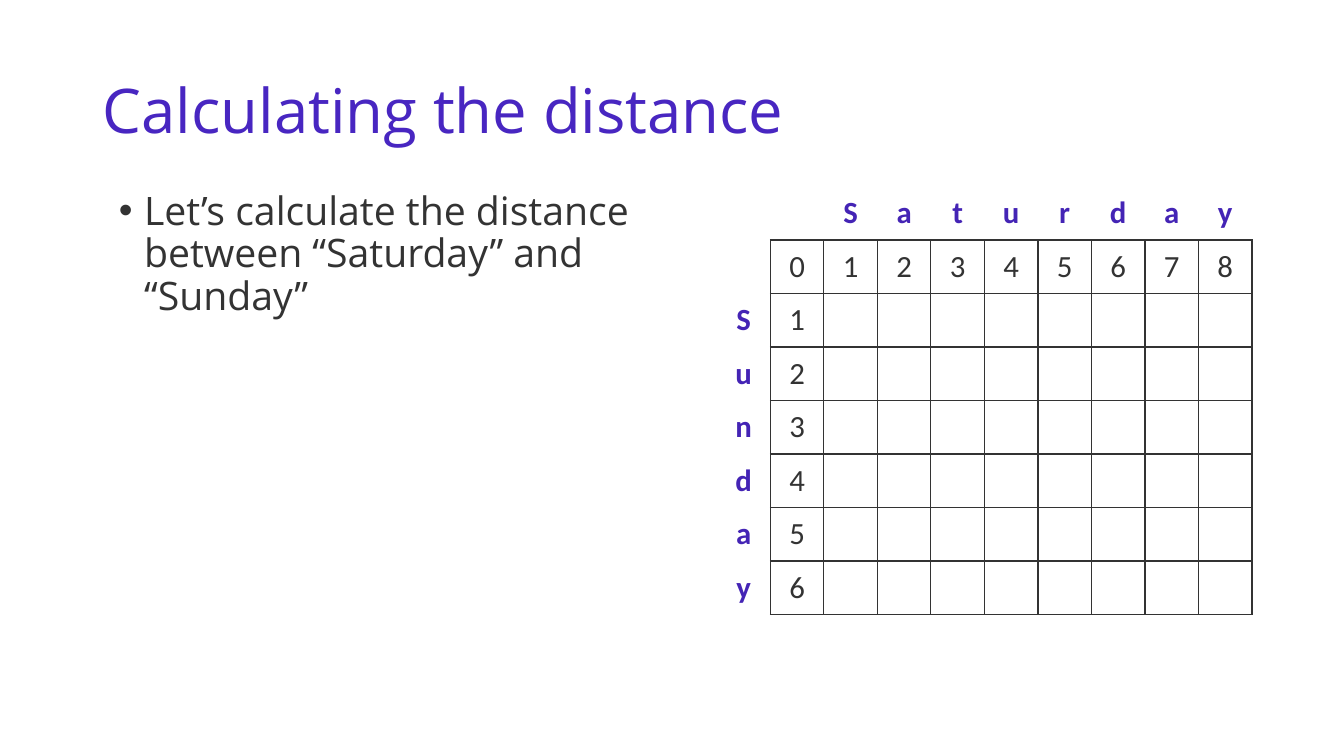
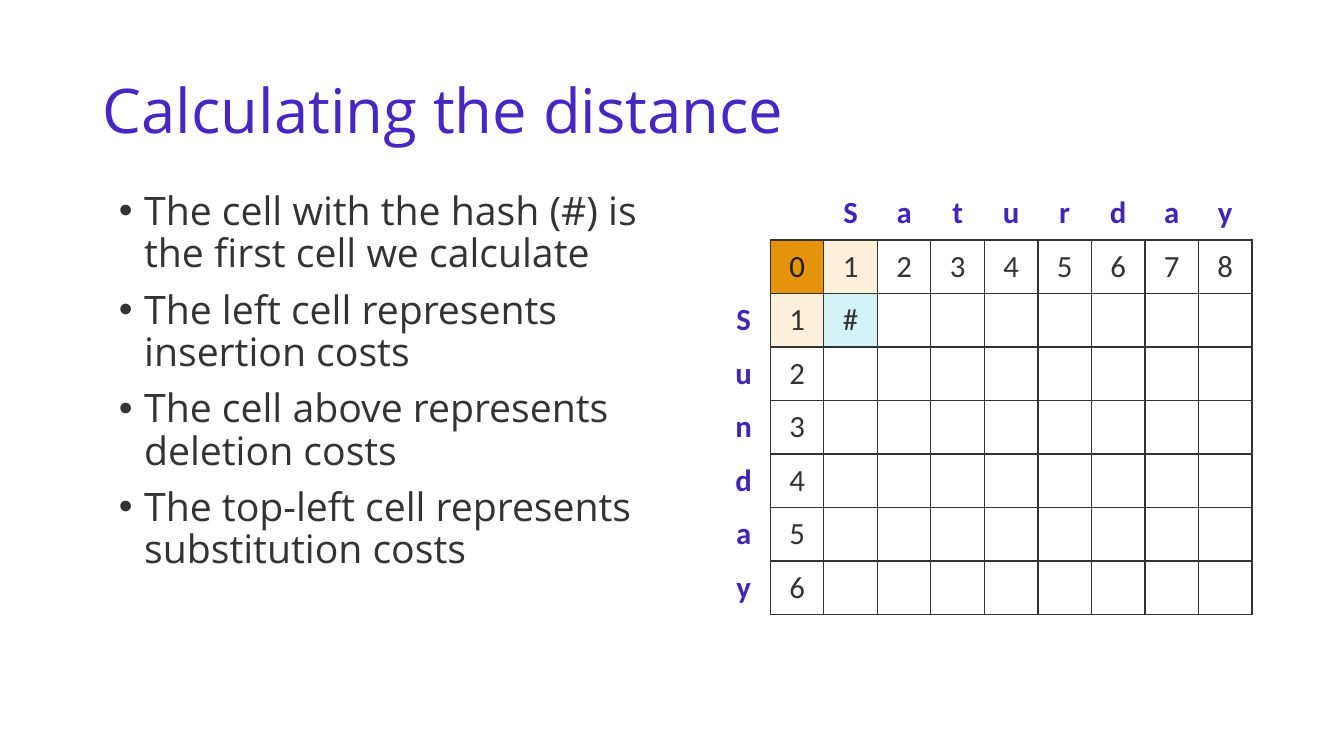
from lxml import etree
from pptx import Presentation, util as u
from pptx.dml.color import RGBColor
from pptx.enum import text as t
from pptx.oxml.ns import qn

WIDE, HIGH = 13.33, 7.5
UNIT = 5.31 / 10  # side of one square of the table
TOP = 1.85
HEAD, MARK, INK, DARK, PAPER = "4826C1", "4424B5", "333333", "1E1E1E", "FFFFFF"
GOLD, CREAM, AQUA = "E5930A", "FDF0DA", "D3F3F7"
SANS, CELL = "Open Sans", "Calibri"
PLAIN = "{2D5ABB26-0587-4C30-8999-92F81FD0307C}"  # table style with no grid
ACROSS, DOWN = "Saturday", "Sunday"


def rgb(code):
    return RGBColor.from_string(code)


def write(para, words, size, font, color, bold=False, align=None, lead=None, gap=0):
    para.text = words
    para.alignment = align
    para.line_spacing = lead
    para.space_before = u.Pt(gap)
    para.font.size = u.Pt(size)
    para.font.name = font
    para.font.bold = bold
    para.font.color.rgb = rgb(color)


def place(shape, left, top, wide, high):
    shape.left, shape.top = u.Inches(left), u.Inches(top)
    shape.width, shape.height = u.Inches(wide), u.Inches(high)


def bullet(para):
    props = para._p.get_or_add_pPr()
    props.set("marL", str(u.Inches(0.25)))
    props.set("indent", str(-u.Inches(0.25)))
    etree.SubElement(props, qn("a:buChar")).set("char", "•")


def add_title(slide, words):
    title = slide.shapes.title
    place(title, 0.92, 0.4, 11.5, TOP - 0.4)
    title.text_frame.vertical_anchor = t.MSO_ANCHOR.MIDDLE
    write(title.text_frame.paragraphs[0], words, 44, SANS, HEAD,
          align=t.PP_ALIGN.LEFT, lead=0.9)


def add_list(slide, items):
    body = slide.placeholders[1]
    place(body, 1.08, TOP, 5.54, 4.91)
    frame = body.text_frame
    for i, item in enumerate(items):
        para = frame.add_paragraph() if i else frame.paragraphs[0]
        bullet(para)
        write(para, item, 28, SANS, INK, lead=0.9, gap=10 if i else 0)


def outline(cell):
    props = cell._tc.get_or_add_tcPr()
    for i, side in enumerate(("a:lnL", "a:lnR", "a:lnT", "a:lnB")):
        line = etree.Element(qn(side), w=str(u.Pt(1)))
        fill = etree.SubElement(line, qn("a:solidFill"))
        etree.SubElement(fill, qn("a:srgbClr"), val=INK)
        props.insert(i, line)


def label(row, col):
    """Text of a cell: word letters outside, counts on the first row and column."""
    if row == 0:
        return ACROSS[col - 2] if col > 1 else ""
    if col == 0:
        return DOWN[row - 2] if row > 1 else ""
    return str(row + col - 2) if 1 in (row, col) else ""


def add_grid(slide, fills, notes):
    """Distance table; fills and notes map (row, column) to colour and text."""
    rows, cols = len(DOWN) + 2, len(ACROSS) + 2
    frame = slide.shapes.add_table(
        rows, cols, u.Inches(7.11), u.Inches(TOP),
        u.Inches(cols * UNIT), u.Inches(rows * UNIT))
    table = frame.table
    table.first_row = table.horz_banding = False
    next(frame.element.iter(qn("a:tableStyleId"))).text = PLAIN
    for line in table.rows:
        line.height = u.Inches(UNIT)
    for row in range(rows):
        for col in range(cols):
            cell = table.cell(row, col)
            fill = fills.get((row, col), PAPER)
            cell.fill.solid()
            cell.fill.fore_color.rgb = rgb(fill)
            cell.vertical_anchor = t.MSO_ANCHOR.MIDDLE
            cell.margin_left = cell.margin_right = u.Inches(0.12)
            cell.margin_top = cell.margin_bottom = u.Inches(0.06)
            inner = row > 0 and col > 0
            if inner:
                outline(cell)
            color = MARK if not inner else DARK if fill == GOLD else INK
            write(cell.text_frame.paragraphs[0],
                  notes.get((row, col), label(row, col)), 22, CELL, color,
                  bold=not inner, align=t.PP_ALIGN.CENTER)


def add_page(deck, items, fills, notes):
    slide = deck.slides.add_slide(deck.slide_layouts[1])
    add_title(slide, "Calculating the distance")
    add_list(slide, items)
    add_grid(slide, fills, notes)


def main():
    deck = Presentation()
    deck.slide_width, deck.slide_height = u.Inches(WIDE), u.Inches(HIGH)
    add_page(deck, ["Let’s calculate the distance between “Saturday” and “Sunday”"],
             {}, {})
    add_page(deck, ["The cell with the hash (#) is the first cell we calculate",
                    "The left cell represents insertion costs",
                    "The cell above represents deletion costs",
                    "The top-left cell represents substitution costs"],
             {(1, 1): GOLD, (1, 2): CREAM, (2, 1): CREAM, (2, 2): AQUA},
             {(2, 2): "#"})
    deck.save("out.pptx")


if __name__ == "__main__":
    main()
